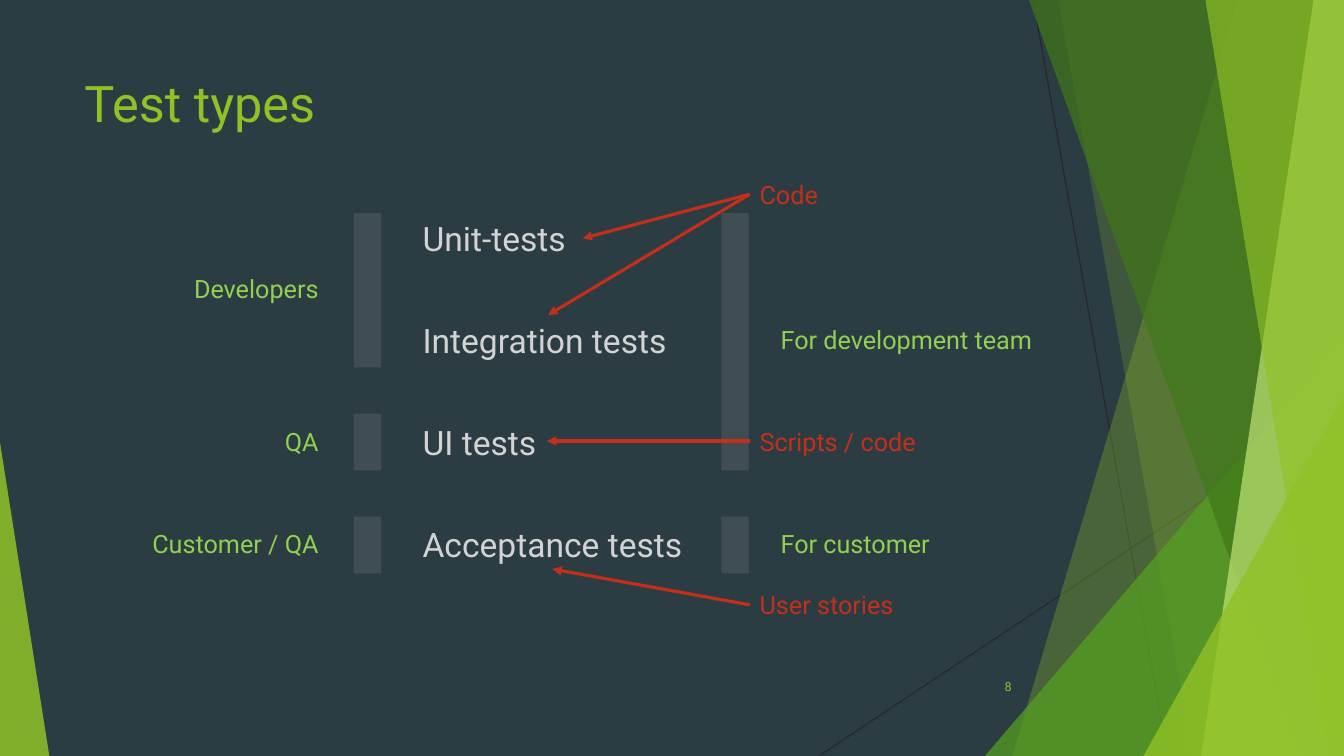
from collections import namedtuple

from lxml.etree import SubElement
from pptx import Presentation
from pptx.dml.color import RGBColor
from pptx.enum.shapes import MSO_CONNECTOR as Connector, MSO_SHAPE as Shape
from pptx.enum.text import MSO_ANCHOR as Anchor, PP_ALIGN as Align
from pptx.oxml.ns import qn
from pptx.util import Pt

PX = 9525
Box = namedtuple("Box", "left top width height")

COLORS = {
    "background": "2C3C43",
    "hairline": "262626",
    "lime": "90C226",
    "leaf": "54A021",
    "forest": "3F7819",
    "pale": "C0E474",
    "bar": "F2F2F2",
    "test": "D3D3D3",
    "role": "92D050",
    "artifact": "C42F1A",
}
FORMATS = {
    "title": {"size": Pt(36), "color": "lime"},
    "test": {"size": Pt(24), "color": "test"},
    "role": {"size": Pt(18), "color": "role"},
    "artifact": {"size": Pt(18), "color": "artifact"},
    "number": {"size": Pt(9), "color": "lime"},
}


def rgb(color):
    return RGBColor.from_string(COLORS[color])


def emu(*lengths):
    return [length * PX for length in lengths]


def inside(box, left, top, width, height):
    return Box(box.left + left, box.top + top, width, height)


def paint(shape, color, opacity):
    shape.shadow.inherit = False
    shape.line.fill.background()
    shape.fill.solid()
    shape.fill.fore_color.rgb = rgb(color)
    fill = shape.fill.fore_color._xFill
    SubElement(fill[0], qn("a:alpha"), val=str(opacity * 1000))


def add_block(page, kind, box, color, opacity):
    shape = page.shapes.add_shape(kind, *emu(*box))
    paint(shape, color, opacity)
    return shape


def add_triangle(page, box, apex, color, opacity):
    triangle = add_block(page, Shape.ISOSCELES_TRIANGLE, box, color, opacity)
    triangle.adjustments[0] = apex


def add_facet(page, box, top_left, bottom_left, color, opacity):
    right, bottom = box.left + box.width, box.top + box.height
    builder = page.shapes.build_freeform(box.left + top_left, box.top, PX)
    builder.add_line_segments(
        [(right, box.top), (right, bottom), (box.left + bottom_left, bottom)])
    paint(builder.convert_to_shape(), color, opacity)


def add_line(page, box, start, end, color, width, arrow=False):
    points = [box.left + start[0], box.top + start[1],
              box.left + end[0], box.top + end[1]]
    line = page.shapes.add_connector(Connector.STRAIGHT, *emu(*points))
    line.line.color.rgb = rgb(color)
    line.line.width = Pt(width)
    if arrow:
        SubElement(line.line._get_or_add_ln(), qn("a:tailEnd"), type="triangle")
    SubElement(line._element.spPr, qn("a:effectLst"))


def add_text(page, box, text, style, align=Align.LEFT, anchor=Anchor.TOP, wrap=True):
    frame = page.shapes.add_textbox(*emu(*box)).text_frame
    frame.word_wrap = wrap
    frame.vertical_anchor = anchor
    para = frame.paragraphs[0]
    para.alignment = align
    span = para.add_run()
    span.text = text
    span.font.color.rgb = rgb(FORMATS[style]["color"])
    for name, value in {"name": "Roboto", "size": FORMATS[style]["size"]}.items():
        setattr(span.font, name, value)


def draw_backdrop(page, box):
    add_line(page, box, (984, 0), (1112, 720), "hairline", 0.75)
    add_line(page, box, (1280, 387), (780, 720), "hairline", 0.75)
    add_facet(page, box, 1179, 964, "lime", 30)
    add_facet(page, box, 1008, 1136, "lime", 20)
    add_triangle(page, inside(box, 938, 320, 342, 400), 1, "leaf", 72)
    for facet in [(980, 1239, "forest", 70), (1251, 1144, "pale", 70),
                  (1148, 1265, "lime", 65)]:
        add_facet(page, box, *facet)
    add_triangle(page, inside(box, 1089, 377, 191, 343), 1, "lime", 80)
    add_triangle(page, inside(box, 0, 421, 47, 299), 0, "lime", 85)


def draw_bars(page, box):
    for left, top, height in [(295, 37, 147), (295, 228, 54), (295, 326, 54),
                              (645, 37, 245), (645, 326, 54)]:
        add_block(page, Shape.RECTANGLE, inside(box, left, top, 26, height), "bar", 10)


def draw_tests(page, box):
    tests = [("Unit-tests", 161), ("Integration tests", 258),
             ("UI tests", 129), ("Acceptance tests", 267)]
    for row, (text, width) in enumerate(tests):
        place = inside(box, 351, 37 + 97 * row, width, 48)
        add_text(page, place, text, "test", wrap=False)


def draw_roles(page, box):
    for text, top in [("Developers", 90), ("QA", 235), ("Customer / QA", 332)]:
        add_text(page, inside(box, 0, top, 271, 38), text, "role", Align.RIGHT)
    for text, top in [("For development team", 138), ("For customer", 332)]:
        add_text(page, inside(box, 692, top, 272, 38), text, "role")


def draw_artifacts(page, box):
    artifacts = [("Code", 0, [(513, 61), (480, 134)]),
                 ("Scripts / code", 235, [(479, 254)]),
                 ("User stories", 391, [(484, 376)])]
    for text, top, targets in artifacts:
        add_text(page, inside(box, 672, top, 263, 38), text, "artifact")
        for target in targets:
            add_line(page, box, (672, top + 19), target, "artifact", 2.25, arrow=True)


def draw_diagram(page, box):
    for draw in (draw_bars, draw_tests, draw_roles, draw_artifacts):
        draw(page, box)


def draw_test_types(page, box):
    page.background.fill.solid()
    page.background.fill.fore_color.rgb = rgb("background")
    draw_backdrop(page, box)
    add_text(page, inside(box, 71, 64, 902, 138), "Test types", "title")
    draw_diagram(page, inside(box, 42, 166, 968, 429))
    add_text(page, inside(box, 901, 635, 72, 38), "8", "number",
             Align.RIGHT, Anchor.MIDDLE)


def main():
    deck = Presentation()
    deck.slide_width, deck.slide_height = emu(1280, 720)
    page = deck.slides.add_slide(deck.slide_layouts[6])
    draw_test_types(page, Box(0, 0, 1280, 720))
    deck.save("out.pptx")


if __name__ == "__main__":
    main()
